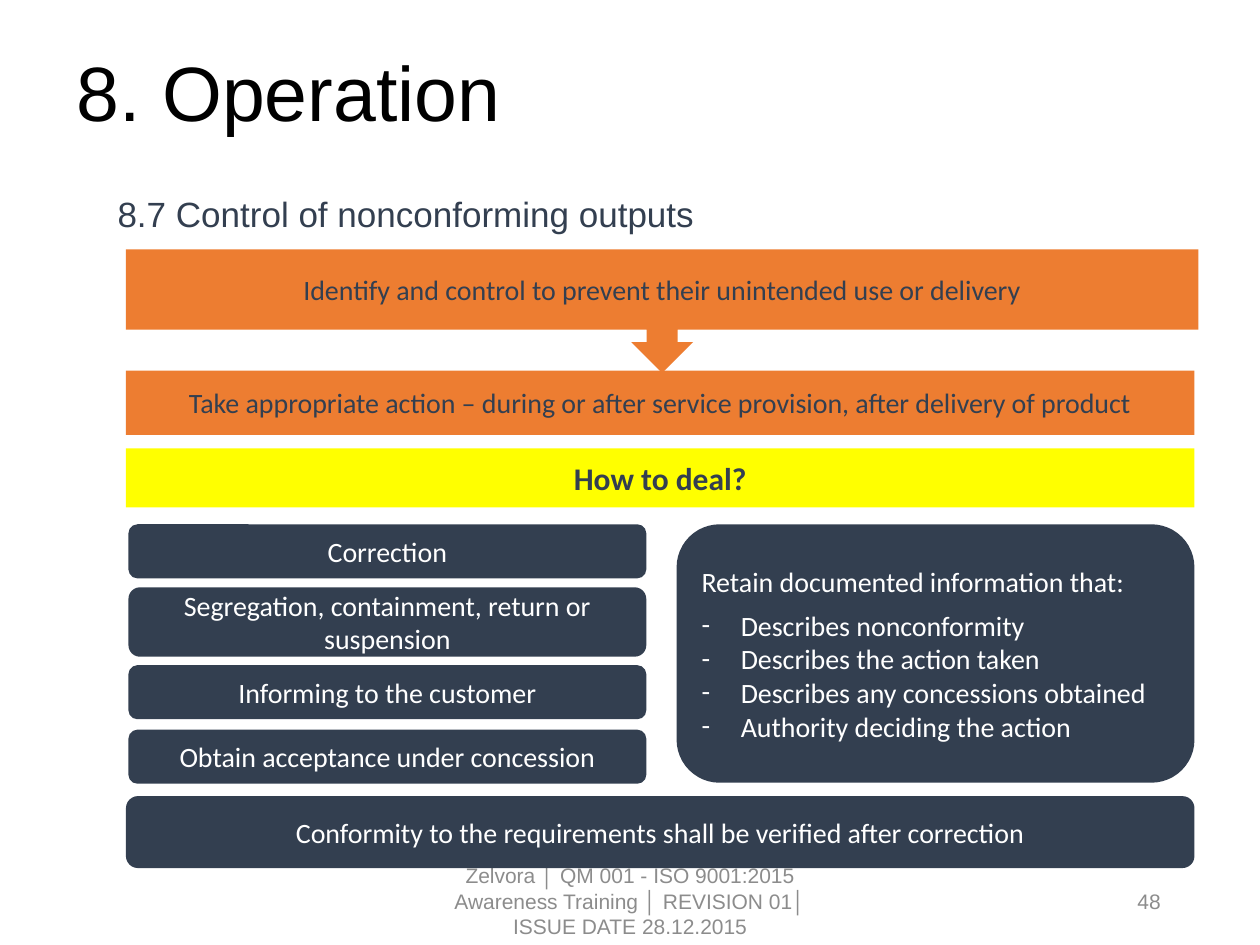
from lxml import etree
from pptx import Presentation
from pptx.dml.color import RGBColor
from pptx.enum.shapes import MSO_SHAPE
from pptx.enum.text import MSO_ANCHOR, PP_ALIGN
from pptx.oxml.ns import qn
from pptx.util import Cm, Pt

RECT = MSO_SHAPE.RECTANGLE
ROUND = MSO_SHAPE.ROUNDED_RECTANGLE
CALL = MSO_SHAPE.DOWN_ARROW_CALLOUT
TOP, MID = MSO_ANCHOR.TOP, MSO_ANCHOR.MIDDLE
LEFT, MIDST, RIGHT = PP_ALIGN.LEFT, PP_ALIGN.CENTER, PP_ALIGN.RIGHT
HUES = {
    "black": "000000",
    "gray": "8C8C8C",
    "navy": "333F50",
    "orange": "ED7D31",
    "yellow": "FFFF00",
    "white": "FFFFFF",
}

deck = Presentation()
deck.slide_width, deck.slide_height = Cm(25.4), Cm(19.05)
slide = deck.slides.add_slide(deck.slide_layouts[6])


def write(par, text, size, ink, font="Calibri", align=MIDST, bold=False):
    par.alignment = align
    run = par.add_run()
    run.text = text
    run.font.size = Pt(size)
    run.font.name = font
    run.font.bold = bold
    run.font.color.rgb = RGBColor.from_string(HUES[ink])


def block(kind, spot, fill):
    shape = slide.shapes.add_shape(kind, *map(Cm, spot))
    shape.shadow.inherit = False
    shape.fill.solid()
    shape.fill.fore_color.rgb = RGBColor.from_string(HUES[fill])
    shape.line.fill.background()
    frame = shape.text_frame
    frame.word_wrap = True
    frame.vertical_anchor = MID
    return frame


labels = [
    ((1.3, 0.99, 22.78, 1.9), "8. Operation", 44, "black", LEFT, MID),
    ((8.41, 17.65, 8.59, 1.02),
     "Zelvora │ QM 001 - ISO 9001:2015 Awareness Training │ REVISION 01│ ISSUE DATE 28.12.2015",
     12, "gray", MIDST, MID),
    ((17.93, 17.65, 5.72, 1.02), "48", 12, "gray", RIGHT, MID),
    ((2.12, 3.76, 22.31, 1.93), "8.7 Control of nonconforming outputs",
     20, "navy", LEFT, TOP),
]
for spot, text, size, ink, align, anchor in labels:
    frame = slide.shapes.add_textbox(*map(Cm, spot)).text_frame
    frame.word_wrap = True
    frame.vertical_anchor = anchor
    write(frame.paragraphs[0], text, size, ink, "Arial", align)
    if size == 44:
        frame.paragraphs[0].line_spacing = 0.9
    if size == 20:
        frame.paragraphs[0].space_before = Pt(4)

bands = [
    (CALL, (2.54, 5.03, 21.62, 2.49), "orange", "navy", 16,
     "Identify and control to prevent their unintended use or delivery"),
    (RECT, (2.54, 7.47, 21.54, 1.3), "orange", "navy", 16,
     "Take appropriate action – during or after service provision, after delivery of product"),
    (RECT, (2.54, 9.04, 21.54, 1.19), "yellow", "navy", 18, "How to deal?"),
    (ROUND, (2.54, 16.05, 21.54, 1.45), "navy", "white", 16,
     "Conformity to the requirements shall be verified after correction"),
]
for kind, spot, fill, ink, size, text in bands:
    frame = block(kind, spot, fill)
    write(frame.paragraphs[0], text, size, ink, bold=size == 18)

steps = [
    (10.57, 1.09, "Correction"),
    (11.84, 1.4, "Segregation, containment, return or suspension"),
    (13.41, 1.09, "Informing to the customer"),
    (14.71, 1.09, "Obtain acceptance under concession"),
]
for top, high, text in steps:
    frame = block(ROUND, (2.59, top, 10.44, high), "navy")
    write(frame.paragraphs[0], text, 16, "white")

frame = block(ROUND, (13.64, 10.57, 10.44, 5.21), "navy")
lead = frame.paragraphs[0]
write(lead, "Retain documented information that:", 16, "white", align=LEFT)
lead.space_after = Pt(6)
points = [
    "Describes nonconformity",
    "Describes the action taken",
    "Describes any concessions obtained",
    "Authority deciding the action",
]
for text in points:
    par = frame.add_paragraph()
    write(par, text, 16, "white", align=LEFT)
    props = par._p.get_or_add_pPr()
    props.set("marL", str(Cm(0.79)))
    props.set("indent", str(-Cm(0.79)))
    etree.SubElement(props, qn("a:buFont")).set("typeface", "Calibri")
    etree.SubElement(props, qn("a:buChar")).set("char", "-")

deck.save("out.pptx")
